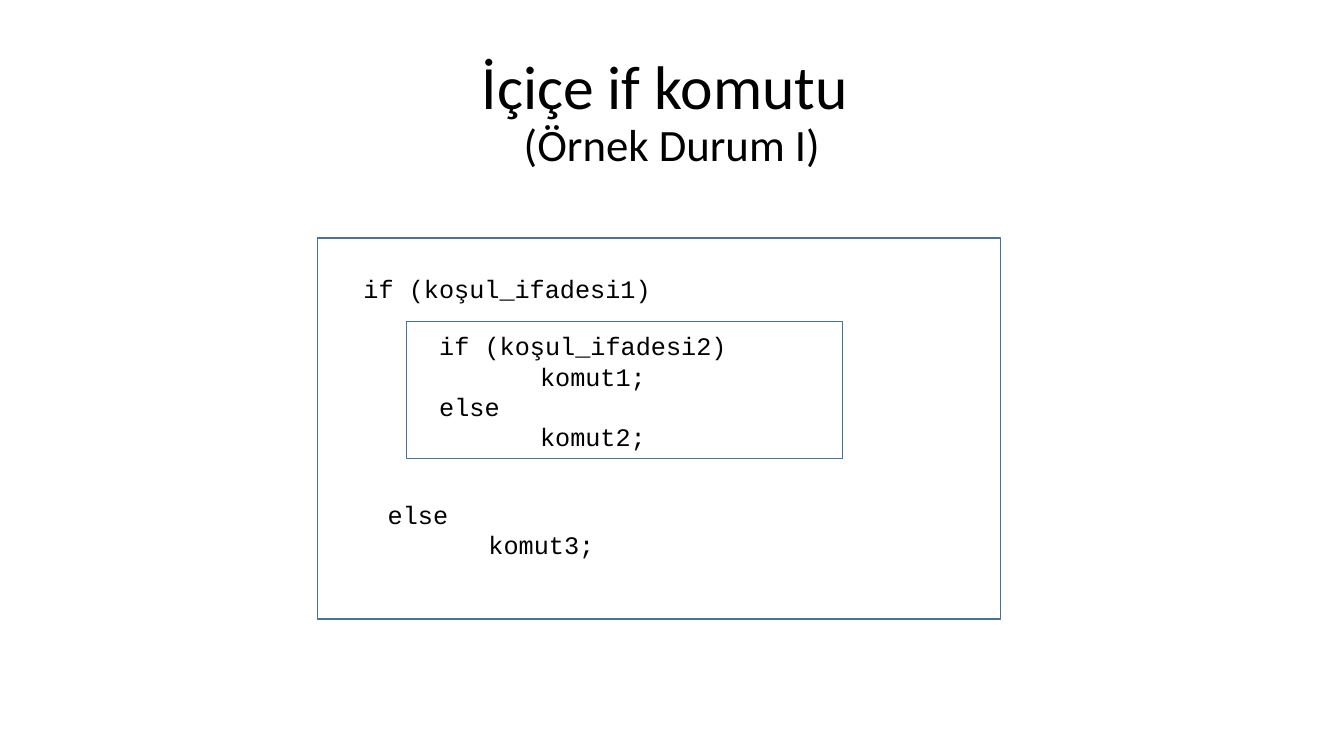
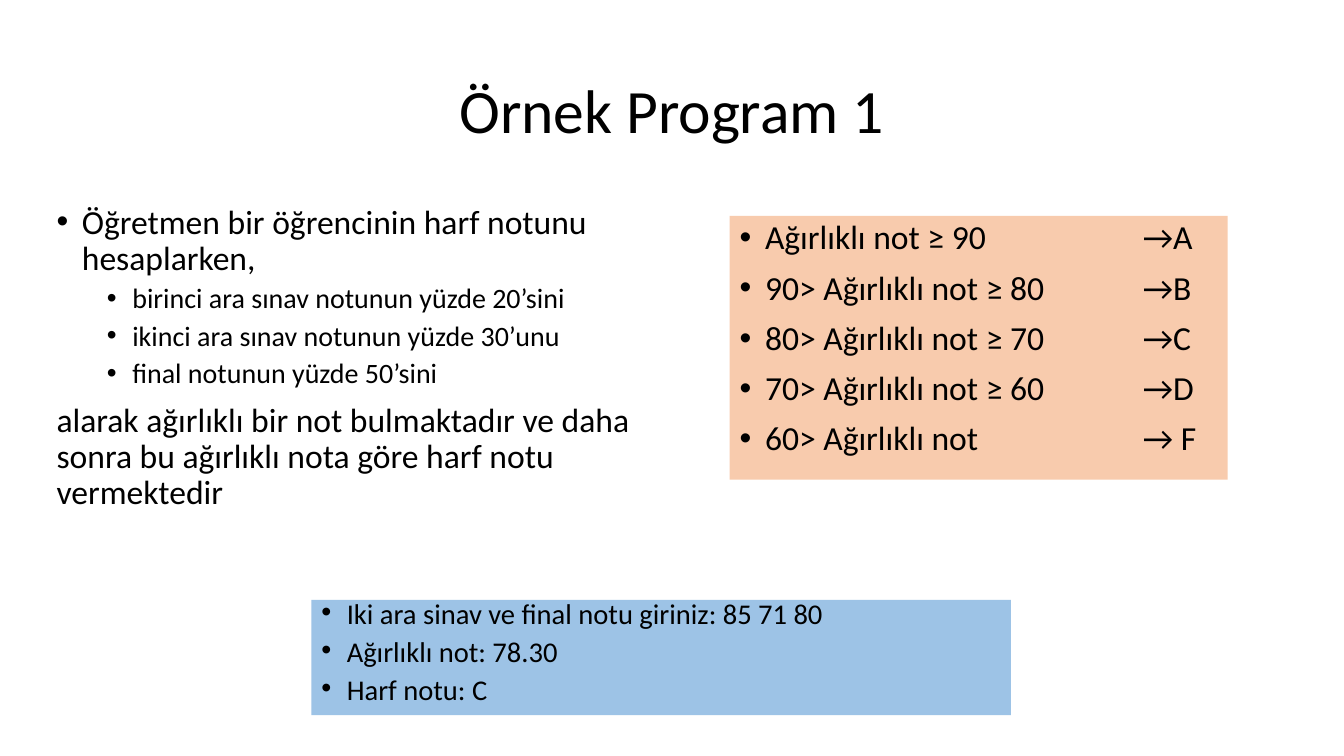
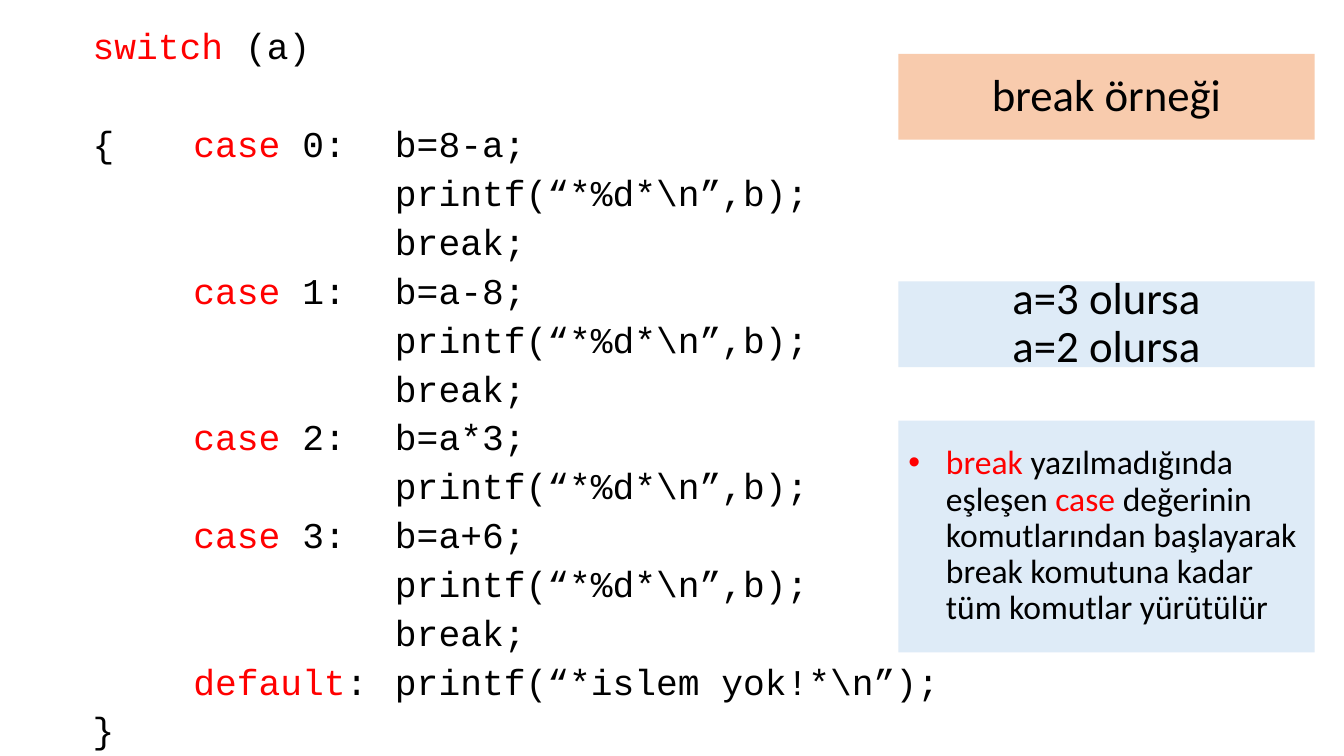
import pptx
import pptx.util
import pptx.dml.color
import pptx.enum.shapes
import pptx.enum.text
import pptx.oxml.ns
import lxml.etree

Cm = pptx.util.Cm
Pt = pptx.util.Pt
RGBColor = pptx.dml.color.RGBColor
ALIGN = pptx.enum.text.PP_ALIGN
ANCHOR = pptx.enum.text.MSO_ANCHOR
RECTANGLE = pptx.enum.shapes.MSO_SHAPE.RECTANGLE

BLACK = RGBColor(0x00, 0x00, 0x00)
RED = RGBColor(0xFF, 0x00, 0x00)
WHITE = RGBColor(0xFF, 0xFF, 0xFF)
FRAME_BLUE = RGBColor(0x43, 0x73, 0x9E)
PEACH = RGBColor(0xF8, 0xCB, 0xAD)
SKY = RGBColor(0x9D, 0xC3, 0xE6)
PALE_BLUE = RGBColor(0xDE, 0xEB, 0xF7)
TEXT_FONT = "Calibri"
CODE_FONT = "Courier New"
TAB_STEP = Cm(2.54)


def set_indent(paragraph, left, hang):
    properties = paragraph._p.get_or_add_pPr()
    properties.set("marL", str(Cm(left)))
    properties.set("indent", str(-Cm(hang)))
    properties.set("defTabSz", str(TAB_STEP))
    qn = pptx.oxml.ns.qn
    if hang:
        lxml.etree.SubElement(properties, qn("a:buFont")).set("typeface", "Arial")
        lxml.etree.SubElement(properties, qn("a:buChar")).set("char", "•")
    else:
        lxml.etree.SubElement(properties, qn("a:buNone"))


def write(shape, lines, size, font=TEXT_FONT, spacing=0.9, before=0,
          align=ALIGN.LEFT, anchor=ANCHOR.TOP, fill=None, indents=((0, 0),)):
    if fill is not None:
        shape.fill.solid()
        shape.fill.fore_color.rgb = fill
        shape.line.fill.background()
        shape.shadow.inherit = False
    frame = shape.text_frame
    frame.word_wrap = True
    frame.auto_size = pptx.enum.text.MSO_AUTO_SIZE.NONE
    frame.vertical_anchor = anchor
    for number, line in enumerate(lines):
        paragraph = frame.add_paragraph() if number else frame.paragraphs[0]
        paragraph.alignment = align
        paragraph.line_spacing = spacing
        paragraph.space_before = Pt(before)
        set_indent(paragraph, *indents[number % len(indents)])
        if "|" not in line:
            paragraph.text = line
        else:
            for part, words in enumerate(line.split("|")):
                if words:
                    run = paragraph.add_run()
                    run.text = words
                    run.font.color.rgb = RED if part % 2 else BLACK
        for run in paragraph.runs:
            run.font.size = Pt(size)
            run.font.name = font
            if "|" not in line:
                run.font.color.rgb = BLACK


deck = pptx.Presentation()
deck.slide_width = Cm(33.87)
deck.slide_height = Cm(19.05)
content_layout, title_layout = deck.slide_layouts[1], deck.slide_layouts[5]
for layout in (content_layout, title_layout):
    heading = layout.placeholders[0]
    heading.left, heading.top = Cm(2.33), Cm(1.02)
    heading.width, heading.height = Cm(29.21), Cm(3.68)
centred = {"align": ALIGN.CENTER, "anchor": ANCHOR.MIDDLE}

nested_if = deck.slides.add_slide(title_layout)
title = nested_if.shapes.title
write(title, ["İçiçe if komutu \v(Örnek Durum I)"], 44, **centred)
title.text_frame.paragraphs[0].runs[-1].font.size = Pt(32)
for place in ((8, 6, 17.22, 9.6), (10.24, 8.1, 11, 3.45)):
    block = nested_if.shapes.add_shape(RECTANGLE, *map(Cm, place))
    block.shadow.inherit = False
    block.fill.solid()
    block.fill.fore_color.rgb = WHITE
    block.line.color.rgb = FRAME_BLUE
    block.line.width = Pt(1)
for place, code in (
    ((8.91, 6.76, 8.99, 1.02), ["if (koşul_ifadesi1)"]),
    ((10.82, 8.21, 9.17, 3.33),
     ["if (koşul_ifadesi2)", "\tkomut1;", "else", "\tkomut2;"]),
    ((9.52, 12.45, 5.87, 1.8), ["else", "\tkomut3;"]),
):
    write(nested_if.shapes.add_textbox(*map(Cm, place)), code, 18, CODE_FONT, 1)

grading = deck.slides.add_slide(content_layout)
write(grading.shapes.title, ["Örnek Program 1"], 44, **centred)
task = grading.placeholders[1]
task.left, task.top, task.width, task.height = map(Cm, (1.17, 5.04, 16.69, 11.53))
bullet, sub_bullet = (0.64, 0.64), (1.91, 0.64)
write(task, [
    "Öğretmen bir öğrencinin harf notunu hesaplarken, ",
    "birinci ara sınav notunun yüzde 20’sini",
    "ikinci ara sınav notunun yüzde 30’unu ",
    "final notunun yüzde 50’sini",
    "alarak ağırlıklı bir not bulmaktadır ve daha sonra bu ağırlıklı nota göre "
    "harf notu vermektedir",
], 24, before=10, indents=[bullet, sub_bullet, sub_bullet, sub_bullet, (0, 0)])
for weight in task.text_frame.paragraphs[1:4]:
    weight.level = 1
    weight.space_before = Pt(5)
    weight.runs[0].font.size = Pt(20)
letter_grades = grading.shapes.add_shape(RECTANGLE, *map(Cm, (18.39, 5.44, 12.55, 6.65)))
write(letter_grades, [
    "Ağırlıklı not ≥ 90 \t\t→A",
    "90> Ağırlıklı not ≥ 80 \t→B ",
    "80> Ağırlıklı not ≥ 70\t→C",
    "70> Ağırlıklı not ≥ 60 \t→D ",
    "60> Ağırlıklı not \t\t→ F ",
], 24, before=10, fill=PEACH, indents=[bullet])
sample_run = grading.shapes.add_shape(RECTANGLE, *map(Cm, (7.85, 15.12, 17.63, 2.9)))
write(sample_run, [
    "Iki ara sinav ve final notu giriniz: 85 71 80",
    "Ağırlıklı not: 78.30",
    "Harf notu: C",
], 20.4, spacing=0.7, before=10, fill=SKY, indents=[bullet])

switch_break = deck.slides.add_slide(content_layout)
column_left, column_width = 22.64, 10.49
title = switch_break.shapes.title
title.left, title.top = Cm(column_left), Cm(1.36)
title.width, title.height = Cm(column_width), Cm(2.16)
write(title, ["break örneği"], 32, fill=PEACH, **centred)
listing = switch_break.placeholders[1]
listing.left, listing.top, listing.width, listing.height = map(
    Cm, (2.08, 0.68, 22.38, 18.92))
print_line, break_line = "\t\t\tprintf(“*%d*\\n”,b);", "\t\t\tbreak;"
write(listing, [
    "|switch| (a)",
    "{\t|case |0:\tb=8-a;", print_line, break_line,
    "\t|case| 1:\tb=a-8;", print_line, break_line,
    "\t|case| 2:\tb=a*3;", print_line,
    "\t|case| 3:\tb=a+6;", print_line, break_line,
    "\t|default|:\tprintf(“*islem yok!*\\n”);",
    "}",
], 25.9, CODE_FONT, 0.8, 10)
listing.text_frame.paragraphs[1].space_before = Pt(45)
for top, height, lines, size, look in (
    (7.09, 2.16, ["a=3 olursa", "a=2 olursa"], 32, centred),
    (10.6, 5.84,
     ["|break |yazılmadığında eşleşen |case |değerinin komutlarından başlayarak "
      "break komutuna kadar tüm komutlar yürütülür"],
     24, {"anchor": ANCHOR.MIDDLE, "indents": [(0.95, 0.95)]}),
):
    note = switch_break.shapes.add_shape(
        RECTANGLE, Cm(column_left), Cm(top), Cm(column_width), Cm(height))
    write(note, lines, size, fill=PALE_BLUE, **look)

deck.save("out.pptx")
